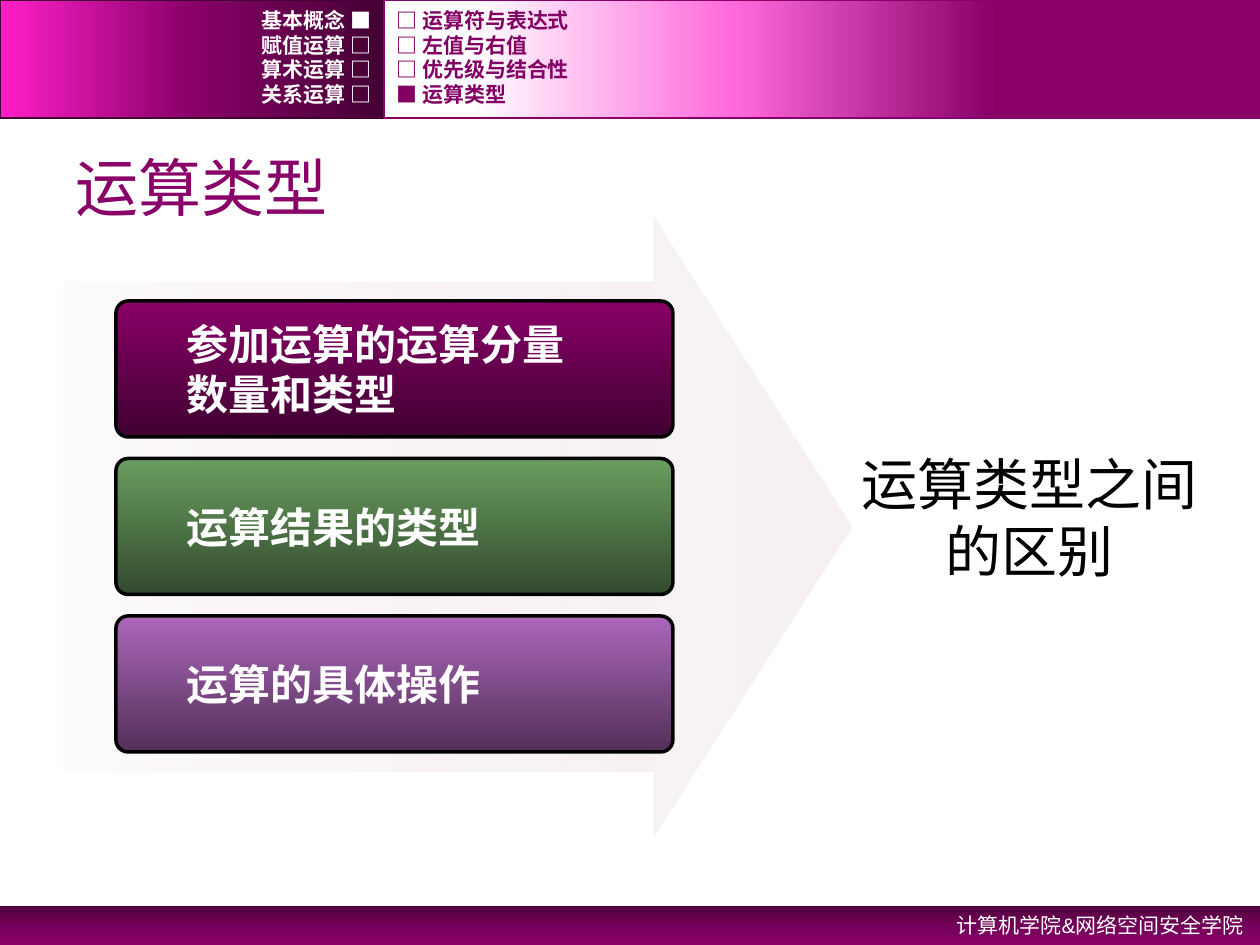
from lxml import etree
from pptx import Presentation
from pptx import util as u
from pptx.dml.color import RGBColor
from pptx.enum import shapes, text
from pptx.oxml import ns

PX = 914400 / 126
WHITE = RGBColor(0xFF, 0xFF, 0xFF)
BLACK = RGBColor(0, 0, 0)
PLUM = RGBColor(0x88, 0x00, 0x68)
NAV_PLUM = RGBColor(0x82, 0x00, 0x64)
DEEP_PLUM = RGBColor(0x44, 0x00, 0x34)
FOOTER_TOP = RGBColor(0x51, 0x00, 0x3E)
FOOTER_MIDDLE = RGBColor(0x73, 0x00, 0x58)
MAGENTA = RGBColor(0xFF, 0x1F, 0xCA)
PINK = RGBColor(0xFF, 0x69, 0xDC)
BLUSH = RGBColor(0xF4, 0xE7, 0xED)
PALE_BLUSH = RGBColor(0xF6, 0xF0, 0xF3)
PLUM_SHADE = RGBColor(0x40, 0x00, 0x30)
GREEN = RGBColor(0x69, 0x9D, 0x5F)
GREEN_SHADE = RGBColor(0x32, 0x4A, 0x2D)
VIOLET = RGBColor(0xAC, 0x66, 0xBB)
VIOLET_SHADE = RGBColor(0x52, 0x30, 0x58)

SECTIONS = ["基本概念 ■", "赋值运算 □", "算术运算 □", "关系运算 □"]
TOPICS = ["□ 运算符与表达式", "□ 左值与右值", "□ 优先级与结合性", "■ 运算类型"]
DIFFERENCES = [
    (["参加运算的运算分量", "数量和类型"], PLUM, PLUM_SHADE),
    (["运算结果的类型"], GREEN, GREEN_SHADE),
    (["运算的具体操作"], VIOLET, VIOLET_SHADE),
]


def emu(*lengths):
    return [u.Emu(round(length * PX)) for length in lengths]


def fill_gradient(shape, stops, angle):
    shape.fill.gradient()
    gradient = shape.fill._fill._gradFill
    stop_list = gradient.find(ns.qn("a:gsLst"))
    for old_stop in list(stop_list):
        stop_list.remove(old_stop)
    for position, color, *alpha in stops:
        stop = etree.SubElement(stop_list, ns.qn("a:gs"), pos=str(position * 1000))
        rgb = etree.SubElement(stop, ns.qn("a:srgbClr"), val=str(color))
        for percent in alpha:
            etree.SubElement(rgb, ns.qn("a:alpha"), val=str(percent * 1000))
    gradient.find(ns.qn("a:lin")).set("ang", str(angle * 60000))


def add_block(slide, kind, box, stops=None, angle=0, line=None, width=1):
    block = slide.shapes.add_shape(kind, *emu(*box))
    block.shadow.inherit = False
    if stops:
        fill_gradient(block, stops, angle)
    else:
        block.fill.background()
    if line is None:
        block.line.fill.background()
    else:
        block.line.color.rgb = line
        block.line.width = u.Pt(width)
    return block


def write(frame, lines, size, font, color, align=text.PP_ALIGN.LEFT, bold=False):
    frame.word_wrap = True
    frame.vertical_anchor = text.MSO_ANCHOR.MIDDLE
    for index, words in enumerate(lines):
        paragraph = frame.add_paragraph() if index else frame.paragraphs[0]
        paragraph.alignment = align
        run = paragraph.add_run()
        run.text = words
        run.font.size = u.Pt(size)
        run.font.name = font
        run.font.bold = bold
        run.font.color.rgb = color


def add_navigation(slide, box, entries, stops, line, color, align):
    left, top, width, height = box
    add_block(slide, shapes.MSO_SHAPE.RECTANGLE, box, stops, 180, line)
    for row, entry in enumerate(entries):
        label = slide.shapes.add_textbox(
            *emu(left, top + 8 + round(row * 74 / 3), width, 25))
        write(label.text_frame, [entry], 12, "Courier New", color, align, True)


def add_footer(slide, box):
    left, top, width, height = box
    add_block(slide, shapes.MSO_SHAPE.RECTANGLE, box,
              [(0, FOOTER_TOP), (50, FOOTER_MIDDLE), (100, PLUM)], 90)
    school = slide.shapes.add_textbox(*emu(left + width - 451, top, 447, 38))
    write(school.text_frame, ["计算机学院&网络空间安全学院"], 12, "Arial", WHITE,
          text.PP_ALIGN.RIGHT)


def place_title(slide, box):
    title = slide.shapes.title
    title.left, title.top, title.width, title.height = emu(*box)
    write(title.text_frame, ["运算类型"], 36, "Arial", PLUM)


def add_differences(slide, box):
    left, top, width, height = box
    arrow = add_block(slide, shapes.MSO_SHAPE.RIGHT_ARROW, (left, top, 788, height),
                      [(0, BLUSH, 15), (100, PALE_BLUSH)])
    arrow.adjustments[0] = 0.79
    arrow.adjustments[1] = 0.32
    for index, (lines, color, shade) in enumerate(DIFFERENCES):
        card = add_block(slide, shapes.MSO_SHAPE.ROUNDED_RECTANGLE,
                         (left + 53, top + 84 + index * 315 / 2, 557, 136),
                         [(0, color), (100, shade)], 90, BLACK, 2)
        card.adjustments[0] = 0.09
        card.text_frame.margin_left, card.text_frame.margin_right = emu(67, 0)
        write(card.text_frame, lines, 24, "Noto Sans CJK SC", WHITE, bold=True)
    conclusion = add_block(slide, shapes.MSO_SHAPE.ROUNDED_RECTANGLE,
                           (left + width - 382, top + 210, 382, 179))
    conclusion.adjustments[0] = 0.09
    write(conclusion.text_frame, ["运算类型之间的区别"], 32, "Arial", BLACK,
          text.PP_ALIGN.CENTER)


def main():
    deck = Presentation()
    deck.slide_width, deck.slide_height = emu(1260, 945)
    slide = deck.slides.add_slide(deck.slide_layouts[5])
    add_footer(slide, (0, 906, 1260, 39))
    add_navigation(slide, (0, 0, 384, 118), SECTIONS,
                   [(0, DEEP_PLUM), (50, PLUM), (100, MAGENTA)],
                   DEEP_PLUM, WHITE, text.PP_ALIGN.RIGHT)
    add_navigation(slide, (384, 0, 876, 118), TOPICS,
                   [(30, PLUM), (60, PINK), (90, WHITE)],
                   PLUM, NAV_PLUM, text.PP_ALIGN.LEFT)
    add_differences(slide, (63, 217, 1158, 620))
    place_title(slide, (63, 137, 1134, 98))
    deck.save("out.pptx")


if __name__ == "__main__":
    main()
